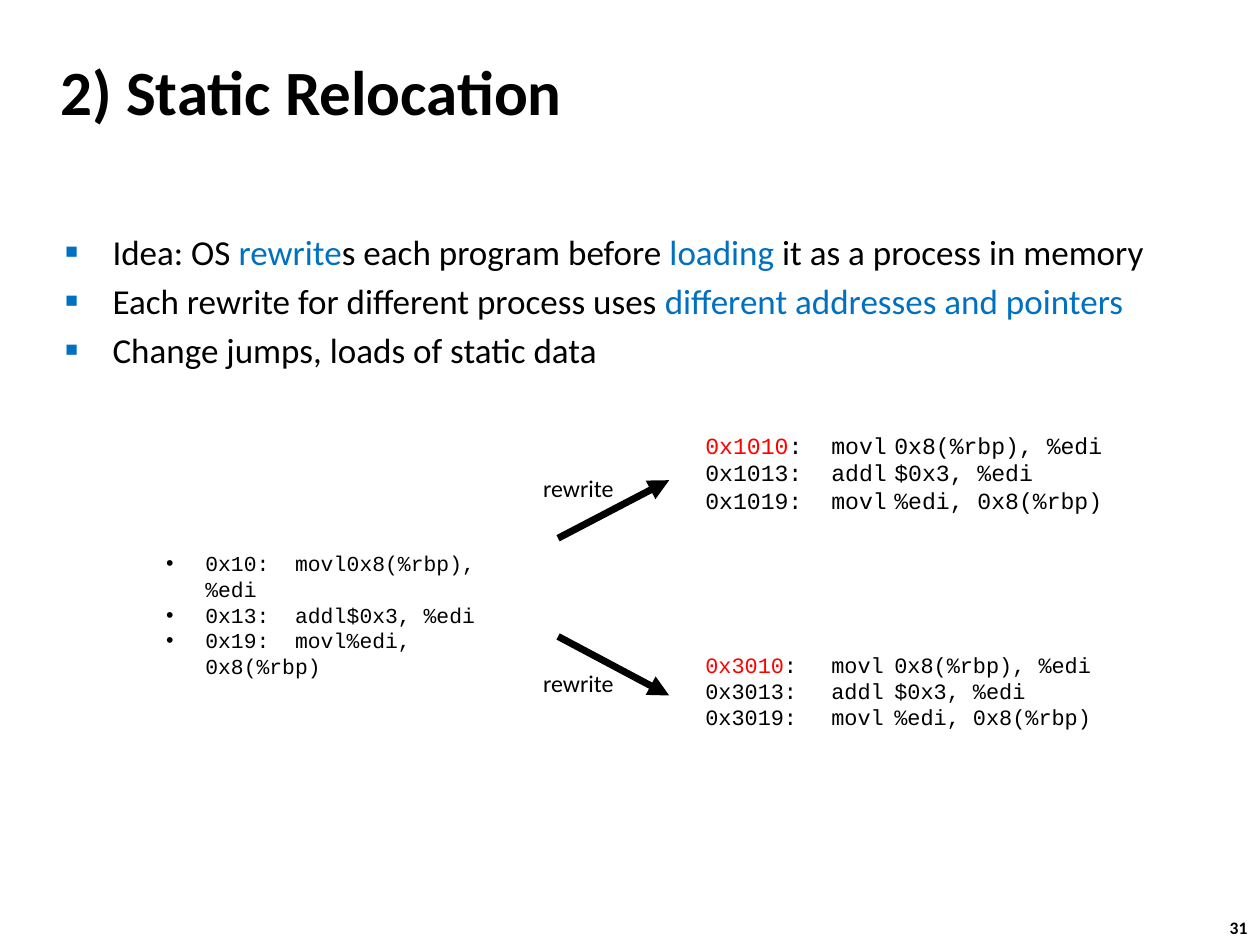
from lxml import etree
from pptx import Presentation
from pptx import util as u
from pptx.dml.color import RGBColor
from pptx.enum import shapes, text
from pptx.oxml import ns

BLACK = RGBColor(0x00, 0x00, 0x00)
BLUE = RGBColor(0x00, 0x70, 0xC0)
RED = RGBColor(0xFF, 0x00, 0x00)
SANS, MONO = "Calibri", "Courier New"
DEFAULT_INSETS = (0.25, 0.13)


class SlideBuilder:
    def __init__(self, slide):
        self.slide = slide

    def child(self, parent, tag, **attributes):
        return etree.SubElement(parent, ns.qn(tag), attributes)

    def format_frame(self, frame, insets=DEFAULT_INSETS, wrap=True, anchor=text.MSO_ANCHOR.TOP,
                     auto_size=text.MSO_AUTO_SIZE.NONE):
        across, down = (u.Cm(inset) for inset in insets)
        settings = {"margin_left": across, "margin_right": across, "margin_top": down,
                    "margin_bottom": down, "word_wrap": wrap, "vertical_anchor": anchor,
                    "auto_size": auto_size}
        for name, value in settings.items():
            setattr(frame, name, value)

    def format_paragraph(self, paragraph, runs, size, font=SANS, bold=False, hanging=0,
                         bullet=None, bullet_color=None, bullet_percent=100, tab_step=0):
        properties = paragraph._p.get_or_add_pPr()
        properties.set("marL", str(u.Cm(hanging)))
        properties.set("indent", str(u.Cm(-hanging)))
        if bullet_color is not None:
            color = self.child(properties, "a:buClr")
            self.child(color, "a:srgbClr", val=str(bullet_color))
        if bullet:
            self.child(properties, "a:buSzPct", val=str(bullet_percent * 1000))
            self.child(properties, "a:buFont", typeface="Arial")
            self.child(properties, "a:buChar", char=bullet)
        if tab_step:
            tabs = self.child(properties, "a:tabLst")
            for stop in range(1, 9):
                self.child(tabs, "a:tab", pos=str(u.Cm(tab_step * stop)), algn="l")
        paragraph.alignment = text.PP_ALIGN.LEFT
        for wording, color in runs:
            run = paragraph.add_run()
            run.text = wording
            for name, value in {"size": u.Pt(size), "name": font, "bold": bold}.items():
                setattr(run.font, name, value)
            run.font.color.rgb = color

    def title(self, box, wording):
        heading = self.slide.shapes.title
        for name, value in zip(("left", "top", "width", "height"), box):
            setattr(heading, name, u.Cm(value))
        self.format_frame(heading.text_frame, anchor=text.MSO_ANCHOR.MIDDLE)
        self.format_paragraph(heading.text_frame.paragraphs[0], [(wording, BLACK)], 36,
                              bold=True, hanging=0.33)

    def textbox(self, box, lines, frame_format=None, space_before=0, **style):
        frame = self.slide.shapes.add_textbox(*map(u.Cm, box)).text_frame
        self.format_frame(frame, **(frame_format or {}))
        for index, runs in enumerate(lines):
            paragraph = frame.add_paragraph() if index else frame.paragraphs[0]
            self.format_paragraph(paragraph, runs, **style)
            if index and space_before:
                paragraph.space_before = u.Pt(space_before)

    def code(self, box, addresses, first_color, **style):
        operations = ("movl\t0x8(%rbp), %edi", "addl\t$0x3, %edi", "movl\t%edi, 0x8(%rbp)")
        colors = (first_color, BLACK, BLACK)
        lines = [[(address, color), (":\t" + operation, BLACK)]
                 for address, color, operation in zip(addresses, colors, operations)]
        self.textbox(box, lines, font=MONO, **style)

    def label(self, box, wording, size, insets=DEFAULT_INSETS, anchor=text.MSO_ANCHOR.TOP,
              bold=False):
        frame_format = {"insets": insets, "wrap": False, "anchor": anchor,
                        "auto_size": text.MSO_AUTO_SIZE.SHAPE_TO_FIT_TEXT}
        self.textbox(box, [[(wording, BLACK)]], frame_format, size=size, bold=bold)

    def arrow(self, start, end):
        connector = self.slide.shapes.add_connector(
            shapes.MSO_CONNECTOR.STRAIGHT, *map(u.Cm, start + end))
        connector.line.width = u.Pt(4)
        connector.line.color.rgb = BLACK
        self.child(connector.line._get_or_add_ln(), "a:tailEnd", type="triangle")
        self.child(connector._element.spPr, "a:effectLst")


def main():
    deck = Presentation()
    deck.slide_width, deck.slide_height = u.Cm(25.4), u.Cm(19.05)
    builder = SlideBuilder(deck.slides.add_slide(deck.slide_layouts[5]))

    builder.label((24.54, 18.36, 0.94, 0.69), "31", 10, bold=True)
    builder.title((0.97, 0.76, 21.08, 2.11), "2) Static Relocation")
    ideas = [
        [("Idea: OS ", BLACK), ("rewrite", BLUE), ("s each program before ", BLACK),
         ("loading", BLUE), (" it as a process in memory", BLACK)],
        [("Each rewrite for different process uses ", BLACK),
         ("different addresses and pointers", BLUE)],
        [("Change jumps, loads of static data", BLACK)],
    ]
    builder.textbox((1.07, 4.52, 23.27, 6.73), ideas, size=20, space_before=4, hanging=0.95,
                    bullet="■", bullet_color=BLUE, bullet_percent=60)

    builder.code((3.1, 10.97, 7.82, 2.41), ("0x10", "0x13", "0x19"), BLACK,
                 size=12.2, hanging=0.79, bullet="•", tab_step=0.52)
    relocations = [("0x1", 8.69, 8.33, 13.2, 0.52), ("0x3", 13.13, 7.82, 12.5, 0.49)]
    for base, top, width, size, tab_step in relocations:
        addresses = [base + offset for offset in ("010", "013", "019")]
        builder.code((14.22, top, width, 2.41), addresses, RED,
                     frame_format={"insets": (0, 0)}, size=size, tab_step=tab_step)

    for start_y, end_y, label_top in ((10.85, 9.68, 9.47), (12.83, 14.02, 13.39)):
        builder.arrow((11.25, start_y), (13.49, end_y))
        builder.label((10.87, label_top, 1.63, 0.74), "rewrite", 13.7, insets=(0.08, 0.08),
                      anchor=text.MSO_ANCHOR.MIDDLE)

    deck.save("out.pptx")


if __name__ == "__main__":
    main()
